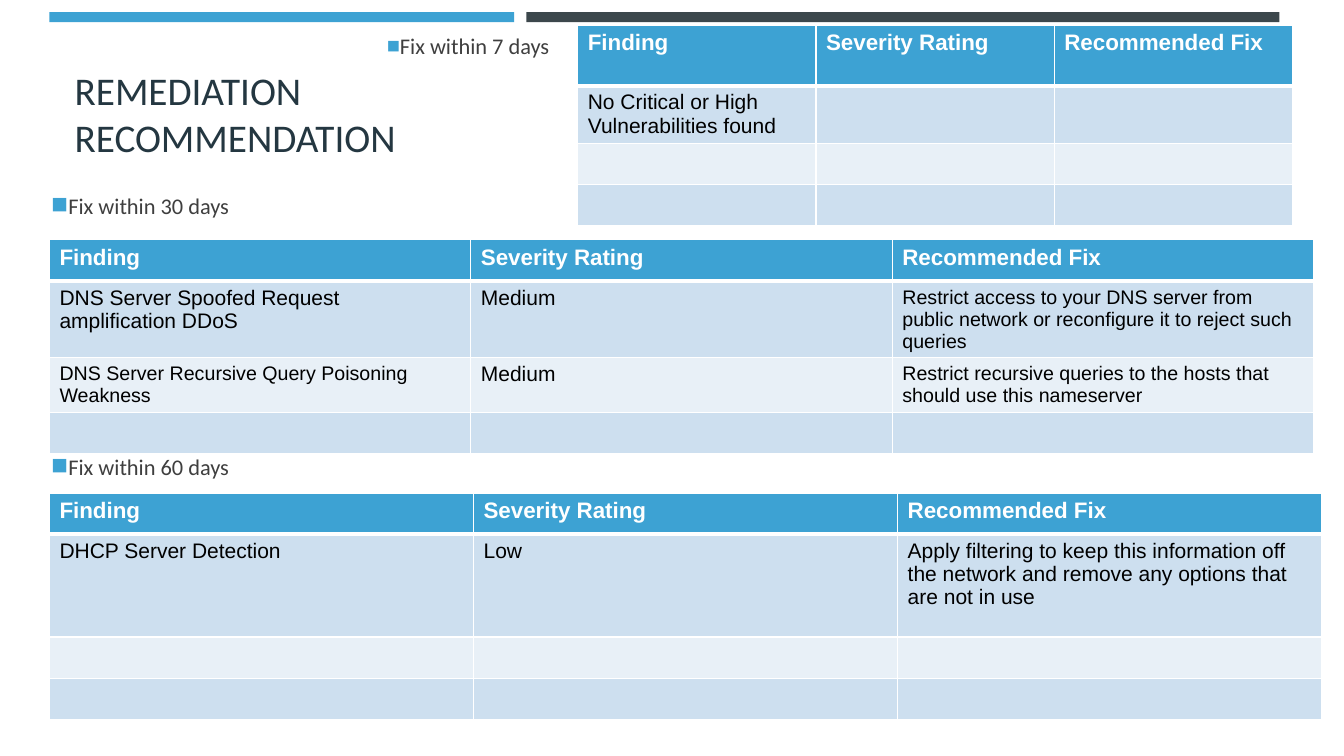
"""Build the remediation recommendation slide with three tables of fixes."""
from lxml.etree import SubElement as Sub
from pptx import Presentation
from pptx.dml.color import RGBColor as Rgb
from pptx.enum.shapes import MSO_SHAPE as Shape
from pptx.enum.text import MSO_ANCHOR as Anchor, MSO_AUTO_SIZE as Auto, PP_ALIGN as Align
from pptx.oxml.ns import qn
from pptx.util import Inches, Pt

HEX = {"blue": "3DA2D3", "dark": "3C474C", "title": "243741", "label": "3F3F3F",
       "white": "FFFFFF", "black": "000000", "odd": "CDDFEF", "even": "E8F0F7"}
TITLE = ("REMEDIATION RECOMMENDATION", (0.64, 0.25, 4.46, 1.75))
BARS = [("blue", 0.49, 4.61), ("dark", 5.22, 7.47)]
HEAD = [("Finding", 16), ("Severity Rating", 16), ("Recommended Fix", 16)]
PARTS = [
    {"label": "Fix within 7 days", "spot": (3.74, 0.27),
     "at": (5.73, 0.25), "wide": 7.09, "rows": [0.6, 0.57, 0.41, 0.41],
     "cells": [[("No Critical or High Vulnerabilities found", 15)]]},
    {"label": "Fix within 30 days", "spot": (0.41, 1.85),
     "at": (0.49, 2.38), "wide": 12.54, "rows": [0.41, 0.76, 0.54, 0.41],
     "cells": [
         [("DNS Server Spoofed Request amplification DDoS", 15), ("Medium", 15),
          ("Restrict access to your DNS server from public network "
           "or reconfigure it to reject such queries", 14)],
         [("DNS Server Recursive Query Poisoning Weakness", 14), ("Medium", 15),
          ("Restrict recursive queries to the hosts that should use this nameserver", 14)]]},
    {"label": "Fix within 60 days", "spot": (0.41, 4.44),
     "at": (0.49, 4.89), "wide": 12.62, "rows": [0.41, 1.02, 0.41, 0.41],
     "cells": [
         [("DHCP Server Detection", 15), ("Low", 15),
          ("Apply filtering to keep this information off the network "
           "and remove any options that are not in use", 15)]]},
]


def color(name):
    return Rgb.from_string(HEX[name])


def write(frame, text, size, face, tint, bold=False):
    frame.text = text
    para = frame.paragraphs[0]
    font = para.runs[0].font
    font.size, font.name, font.bold = Pt(size), face, bold
    font.color.rgb = color(tint)
    return para


def place(shape, left, top, width, height):
    shape.left, shape.top = Inches(left), Inches(top)
    shape.width, shape.height = Inches(width), Inches(height)
    frame = shape.text_frame
    frame.word_wrap, frame.auto_size = True, Auto.NONE
    frame.vertical_anchor = Anchor.MIDDLE
    return frame


def label(shape, text, spot):
    para = write(place(shape, *spot, 7.09, 0.37), text, 16, "Calibri", "label")
    para.space_before = Pt(0)
    props = para._p.get_or_add_pPr()
    props.set("marL", "0")
    props.set("indent", str(-Inches(0.1)))
    Sub(Sub(props, qn("a:buClr")), qn("a:srgbClr"), val=HEX["blue"])
    Sub(props, qn("a:buSzPct"), val="92000")
    Sub(props, qn("a:buChar"), char="◼")


def border(cell, row):
    props = cell._tc.get_or_add_tcPr()
    for side in "LRTB":
        thick = (row, side) in ((0, "B"), (1, "T"))
        line = Sub(props, qn("a:ln" + side), w=str(Pt(3 if thick else 1)))
        Sub(Sub(line, qn("a:solidFill")), qn("a:srgbClr"), val=HEX["white"])


def table(slide, part):
    rows, wide = part["rows"], part["wide"]
    left, top = part["at"]
    grid = slide.shapes.add_table(len(rows), len(HEAD), Inches(left), Inches(top),
                                  Inches(wide), Inches(sum(rows))).table
    for col in grid.columns:
        col.width = Inches(wide / len(HEAD))
    for row, high in enumerate(rows):
        grid.rows[row].height = Inches(high)
        for col in range(len(HEAD)):
            cell = grid.cell(row, col)
            border(cell, row)
            cell.fill.solid()
            cell.fill.fore_color.rgb = color(
                "blue" if row == 0 else "odd" if row % 2 else "even")
    for row, line in enumerate([HEAD] + part["cells"]):
        for col, (text, size) in enumerate(line):
            write(grid.cell(row, col).text_frame, text, size, "Arial",
                  "black" if row else "white", row == 0)


def main():
    deck = Presentation()
    deck.slide_width, deck.slide_height = Inches(13.33), Inches(7.5)
    slide = deck.slides.add_slide(deck.slide_layouts[1])
    title, body = slide.placeholders
    text, box = TITLE
    para = write(place(title, *box), text, 28, "Calibri", "title")
    para.alignment = Align.LEFT
    for tint, left, width in BARS:
        bar = slide.shapes.add_shape(Shape.RECTANGLE, Inches(left), Inches(0.12),
                                     Inches(width), Inches(0.1))
        bar.shadow.inherit = False
        bar.fill.solid()
        bar.fill.fore_color.rgb = color(tint)
        bar.line.fill.background()
    for part in PARTS:
        shape = body if part is PARTS[0] else slide.shapes.add_textbox(0, 0, 0, 0)
        label(shape, part["label"], part["spot"])
        table(slide, part)
    deck.save("out.pptx")


if __name__ == "__main__":
    main()
